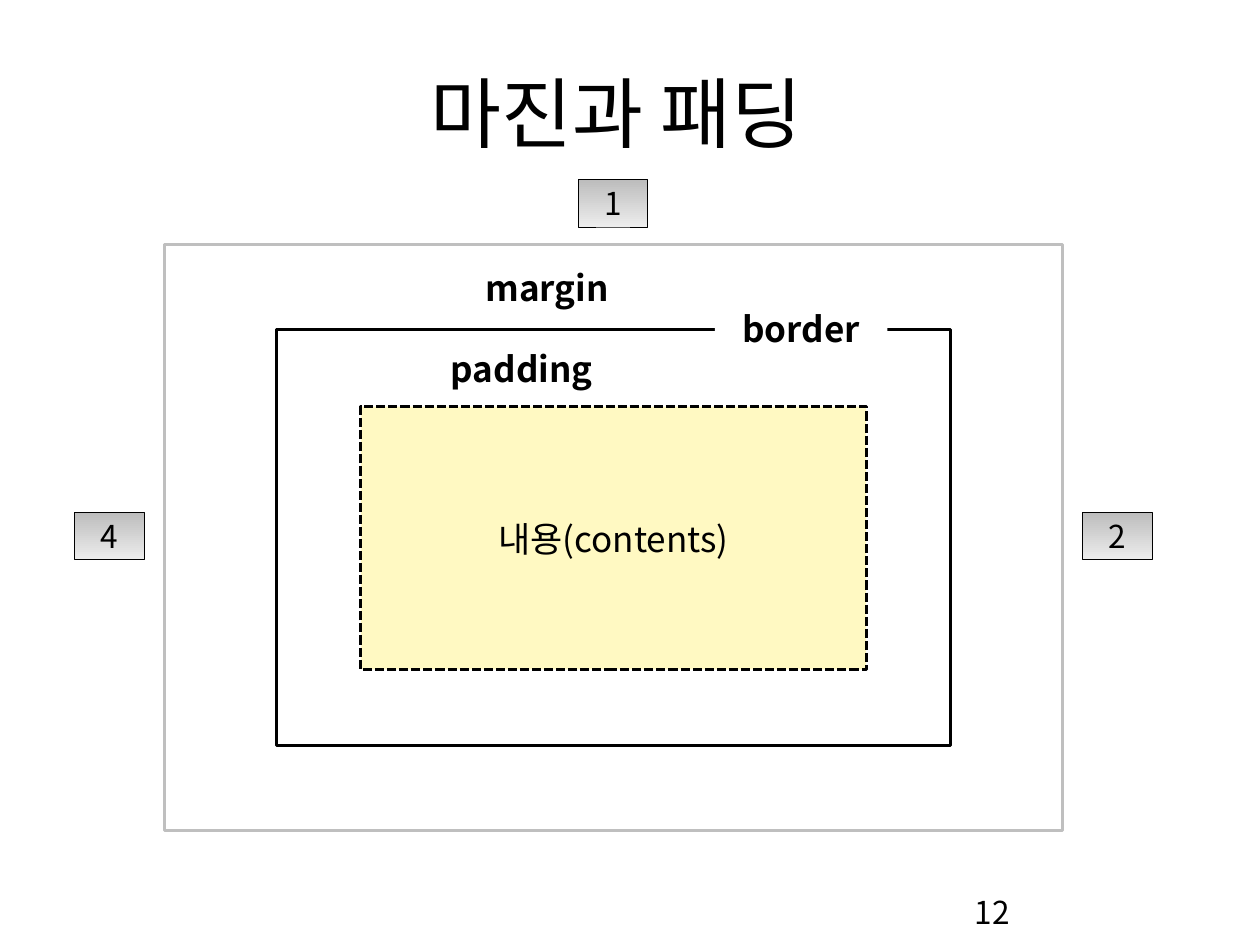
from pptx import Presentation
from pptx.dml.color import RGBColor
from pptx.enum.dml import MSO_LINE
from pptx.enum.shapes import MSO_SHAPE
from pptx.enum.text import MSO_ANCHOR as ANCHOR, PP_ALIGN as ALIGN
from pptx.oxml.ns import qn
from pptx.util import Inches, Pt
from lxml.etree import SubElement

FONT = "Noto Sans CJK KR"
BLACK = RGBColor(0x00, 0x00, 0x00)
WHITE = RGBColor(0xFF, 0xFF, 0xFF)
GRAY = RGBColor(0xBF, 0xBF, 0xBF)
YELLOW = RGBColor(0xFF, 0xF9, 0xC2)
BADGE_TOP = RGBColor(0xBC, 0xBC, 0xBC)
BADGE_BOTTOM = RGBColor(0xED, 0xED, 0xED)


def write(shape, text, size, bold=False, align=ALIGN.CENTER, anchor=ANCHOR.MIDDLE):
    frame = shape.text_frame
    frame.text = text
    frame.word_wrap = True
    frame.vertical_anchor = anchor
    paragraph = frame.paragraphs[0]
    paragraph.alignment = align
    for run in paragraph.runs:
        font = run.font
        font.name, font.size, font.bold = FONT, Pt(size), bold
        font.color.rgb = BLACK
        # Hangul takes the East Asian typeface
        SubElement(run.font._element, qn("a:ea")).set("typeface", FONT)


def add_label(slide, box, text, size, **style):
    label = slide.shapes.add_textbox(*map(Inches, box))
    write(label, text, size, **style)
    return label


def add_box(slide, box, line=None, width=2.25, fill=None):
    rect = slide.shapes.add_shape(MSO_SHAPE.RECTANGLE, *map(Inches, box))
    rect.shadow.inherit = False
    if fill is None:
        rect.fill.background()
    else:
        rect.fill.solid()
        rect.fill.fore_color.rgb = fill
    if line is None:
        rect.line.fill.background()
    else:
        rect.line.color.rgb = line
        rect.line.width = Pt(width)
    return rect


def add_badge(slide, left, top, number):
    badge = add_box(slide, (left, top, 0.72, 0.49), BLACK, 0.75)
    badge.fill.gradient()
    badge.fill.gradient_angle = 270
    for stop, color in zip(badge.fill.gradient_stops, (BADGE_TOP, BADGE_BOTTOM)):
        stop.color.rgb = color
    write(badge, number, 23.4)


def main():
    prs = Presentation()
    prs.slide_width, prs.slide_height = Inches(12.99), Inches(9.74)
    slide = prs.slides.add_slide(prs.slide_layouts[6])

    # Nested boxes of the box model
    add_box(slide, (1.7, 2.52, 9.25, 6.04), GRAY)
    add_box(slide, (2.85, 3.4, 6.95, 4.28), BLACK)
    contents = add_box(slide, (3.72, 4.19, 5.21, 2.71), BLACK, fill=YELLOW)
    contents.line.dash_style = MSO_LINE.SQUARE_DOT
    write(contents, "내용(contents)", 26)

    # Title and names of the areas
    add_label(slide, (1.05, 0.61, 10.61, 1.08), "마진과 패딩", 57.2)
    add_label(slide, (4.55, 3.53, 2.18, 0.53), "padding", 26, bold=True, align=ALIGN.LEFT)
    add_label(slide, (4.55, 2.7, 2.18, 0.53), "margin", 26, bold=True)
    border = add_box(slide, (7.37, 3.12, 1.78, 0.53), fill=WHITE)
    write(border, "border", 26, bold=True)

    # Order of the sides
    for left, top, number in ((5.96, 1.85, "1"), (11.16, 5.28, "2"), (0.77, 5.28, "4")):
        add_badge(slide, left, top, number)

    # Page number
    add_label(slide, (9.95, 9.15, 2.71, 0.6), "12", 23.4,
              align=ALIGN.LEFT, anchor=ANCHOR.TOP)

    prs.save("out.pptx")


if __name__ == "__main__":
    main()
